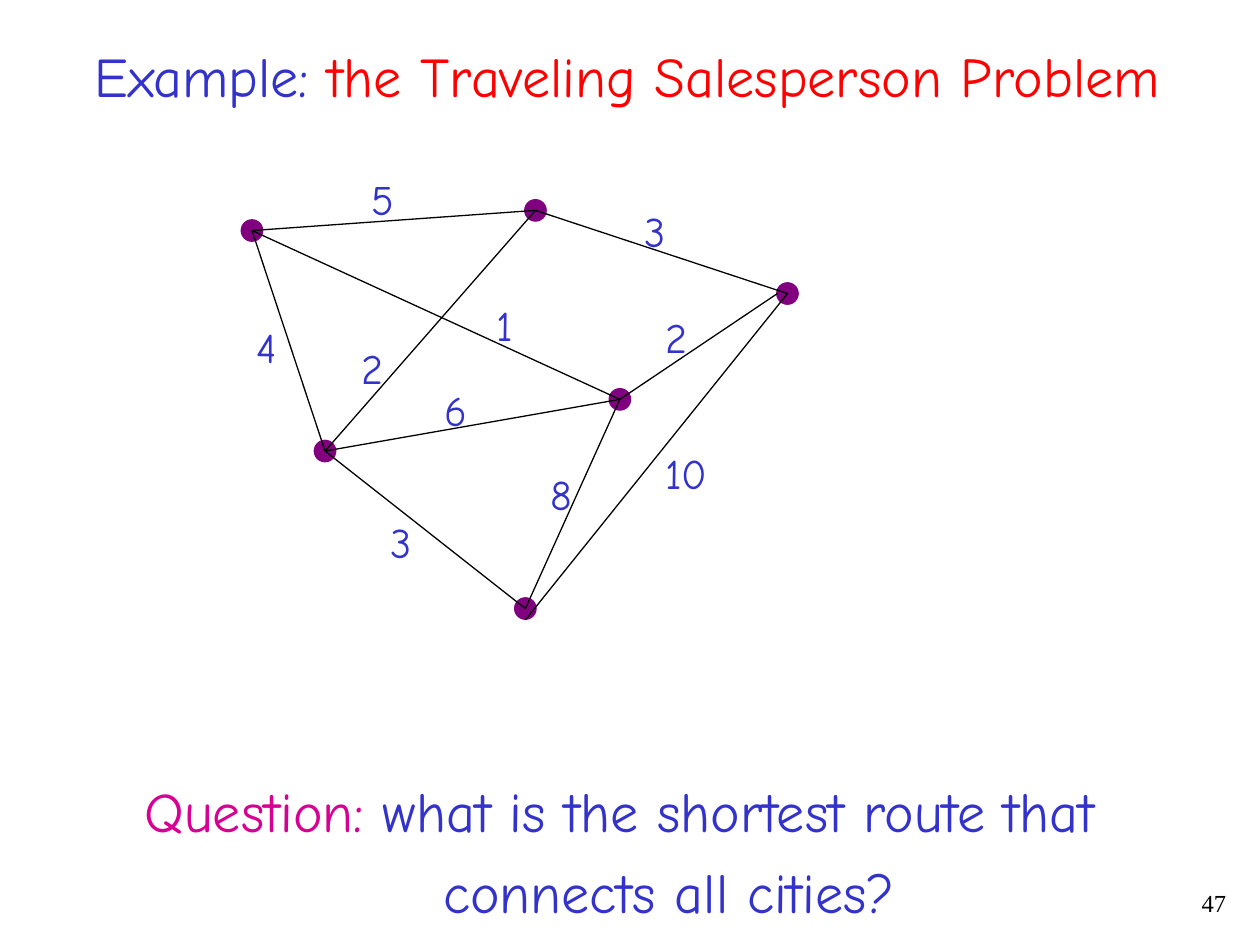
from lxml.etree import SubElement
from pptx import Presentation
from pptx.dml.color import RGBColor
from pptx.enum.shapes import MSO_CONNECTOR, MSO_SHAPE
from pptx.enum.text import PP_ALIGN
from pptx.oxml.ns import qn
from pptx.util import Inches, Pt

BLUE, RED, PINK, PURPLE, BLACK = "3333CC", "FF0000", "D60093", "800080", "000000"
DOT_SIZE = 0.17

CITIES = {
    "A": (0.5, 0.83),
    "B": (2.75, 0.67),
    "C": (1.08, 2.58),
    "D": (4.75, 1.33),
    "E": (2.67, 3.83),
    "F": (3.42, 2.17),
}
D_LEFT_SIDE = (4.67, 1.33)
E_BOTTOM = (2.67, 3.92)
ROADS = [
    (CITIES["A"], CITIES["B"], "5", (1.35, 0.33, 0.38)),
    (CITIES["B"], CITIES["D"], "3", (3.52, 0.58, 0.37)),
    (CITIES["C"], CITIES["F"], "6", (1.93, 2, 0.38)),
    (CITIES["A"], CITIES["C"], "4", (0.44, 1.5, 0.36)),
    (CITIES["C"], CITIES["E"], "3", (1.5, 3.05, 0.37)),
    (CITIES["F"], CITIES["E"], "8", (2.77, 2.67, 0.37)),
    (CITIES["A"], CITIES["F"], "1", (2.34, 1.33, 0.33)),
    (CITIES["F"], D_LEFT_SIDE, "2", (3.68, 1.42, 0.37)),
    (E_BOTTOM, CITIES["D"], "10", (3.68, 2.5, 0.6)),
    (CITIES["B"], CITIES["C"], "2", (1.27, 1.67, 0.37)),
]


def rgb(color):
    """Turn a hex string into a colour."""
    return RGBColor.from_string(color)


def add_text(slide, box, lines, size, font="Comic Neue", align=PP_ALIGN.LEFT,
             wrap=False, space_before=0, later_indent=0):
    """Write lines of (text, colour) runs into a text box."""
    frame = slide.shapes.add_textbox(*map(Inches, box)).text_frame
    frame.word_wrap = wrap
    for index, line in enumerate(lines):
        paragraph = frame.add_paragraph() if index else frame.paragraphs[0]
        paragraph.alignment = align
        if index:
            paragraph.space_before = Pt(space_before)
            paragraph._p.get_or_add_pPr().set("marL", str(Inches(later_indent)))
        for text, color in line:
            run = paragraph.add_run()
            run.text = text
            run.font.name = font
            run.font.size = Pt(size)
            run.font.color.rgb = rgb(color)


def add_city(slide, x, y):
    """Draw a city as a dot centred on a point."""
    corner = (x - DOT_SIZE / 2, y - DOT_SIZE / 2, DOT_SIZE, DOT_SIZE)
    city = slide.shapes.add_shape(MSO_SHAPE.OVAL, *map(Inches, corner))
    city.shadow.inherit = False
    city.fill.solid()
    city.fill.fore_color.rgb = rgb(PURPLE)
    city.line.color.rgb = rgb(PURPLE)
    city.line.width = Pt(0.75)


def add_road(slide, start, end):
    """Draw a straight road between two points."""
    road = slide.shapes.add_connector(MSO_CONNECTOR.STRAIGHT, *map(Inches, start + end))
    road.line.color.rgb = rgb(BLACK)
    road.line.width = Pt(0.75)
    SubElement(road._element.spPr, qn("a:effectLst"))


def add_map(slide, left, top):
    """Place the cities, roads and distances from a top left corner."""
    for x, y in CITIES.values():
        add_city(slide, left + x, top + y)
    for start, end, _, _ in ROADS:
        add_road(slide, (left + start[0], top + start[1]), (left + end[0], top + end[1]))
    for _, _, distance, (x, y, width) in ROADS:
        add_text(slide, (left + x, top + y, width, 0.5), [[(distance, BLUE)]], 24)


def add_title(slide, box):
    """Place the two-coloured title."""
    add_text(slide, box, [[("Example: ", BLUE),
                           ("the Traveling Salesperson Problem", RED)]], 32)


def add_question(slide, box):
    """Place the question with its second line indented."""
    add_text(slide, box, [
        [("Question:", PINK), (" what is the shortest route that", BLUE)],
        [("connects all cities?", BLUE)],
    ], 32, space_before=8, later_indent=2.37)


def add_page_number(slide, box):
    """Place the page number at the right."""
    add_text(slide, box, [[("47", BLACK)]], 14, font="Times New Roman",
             align=PP_ALIGN.RIGHT, wrap=True)


def main():
    """Build and save the slide."""
    presentation = Presentation()
    presentation.slide_width = Inches(10)
    presentation.slide_height = Inches(7.5)
    slide = presentation.slides.add_slide(presentation.slide_layouts[6])
    add_title(slide, (0.65, 0.28, 8.69, 0.64))
    add_question(slide, (1.05, 6.11, 7.78, 1.28))
    add_map(slide, 1.5, 1)
    add_page_number(slide, (7.75, 7, 2.08, 0.33))
    presentation.save("out.pptx")


if __name__ == "__main__":
    main()
